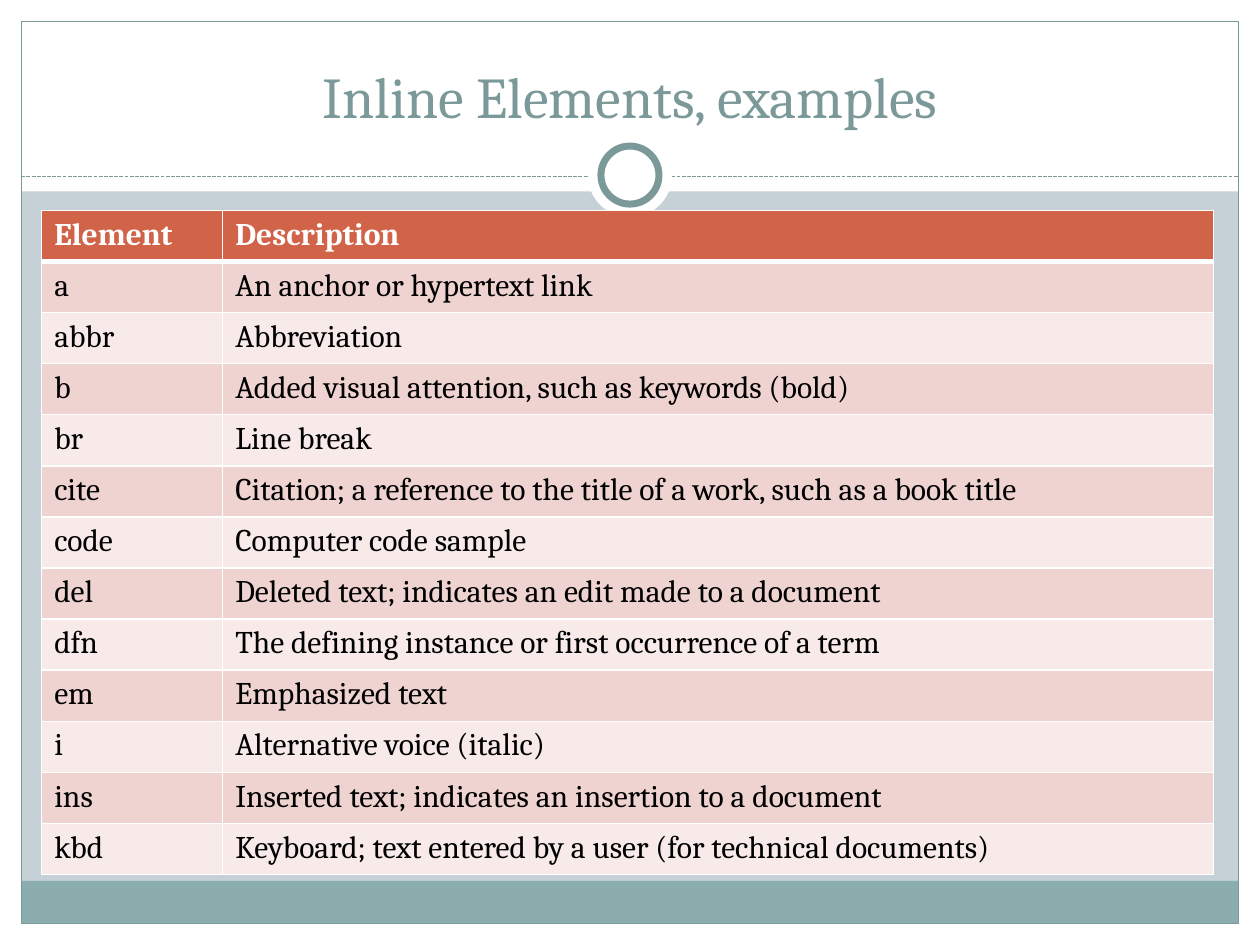
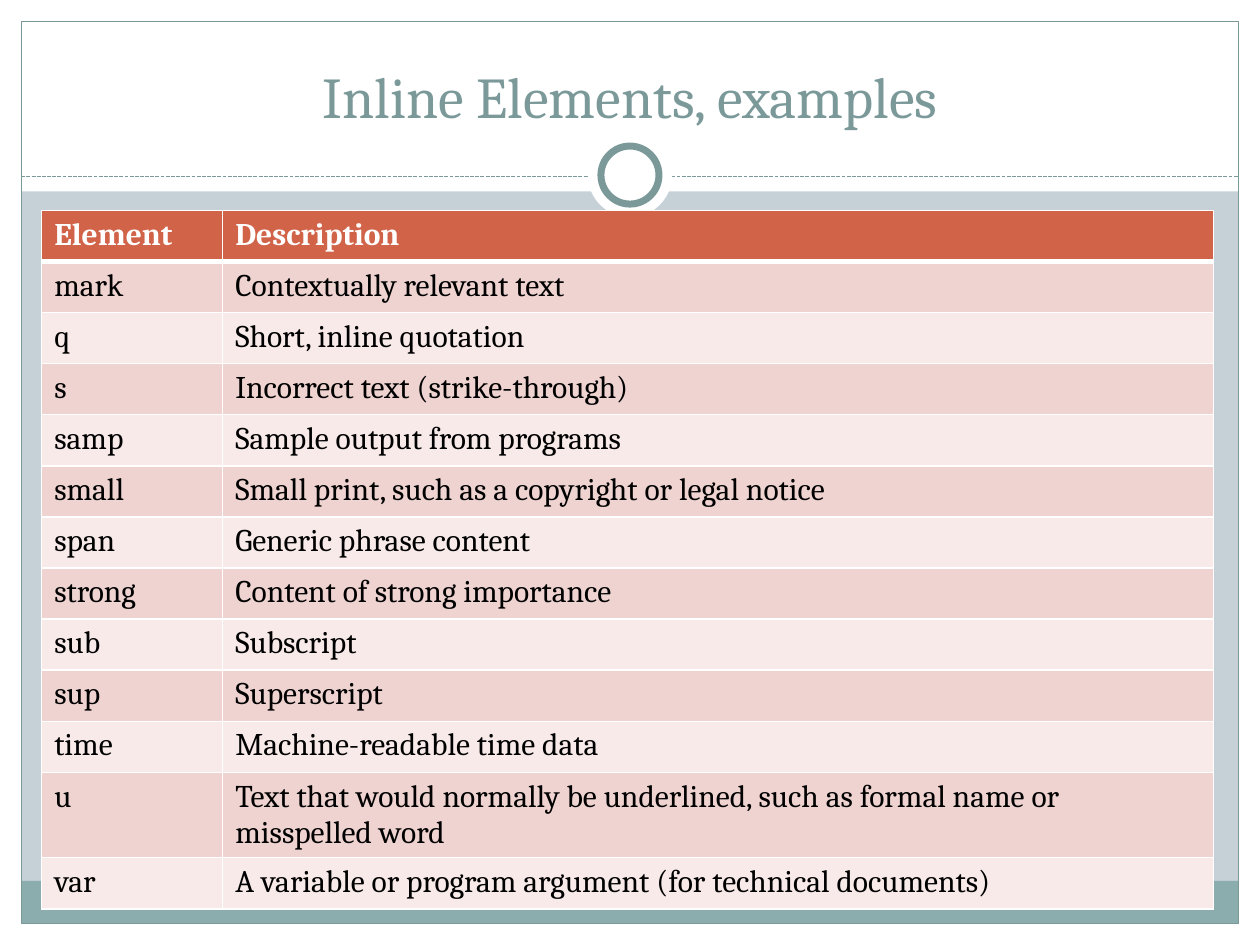
from lxml.etree import SubElement
from pptx import Presentation
from pptx.dml.color import RGBColor
from pptx.enum.dml import MSO_LINE
from pptx.enum.shapes import MSO_CONNECTOR, MSO_SHAPE
from pptx.enum.text import MSO_ANCHOR, MSO_AUTO_SIZE, PP_ALIGN
from pptx.oxml.ns import qn
from pptx.util import Cm, Pt

WHITE = RGBColor(0xFF, 0xFF, 0xFF)
BLACK = RGBColor(0, 0, 0)
MIST = RGBColor(0xC5, 0xD1, 0xD7)
TEAL = RGBColor(0x8C, 0xAD, 0xAE)
SLATE = RGBColor(0x7C, 0x99, 0x9A)
RUST = RGBColor(0xD1, 0x63, 0x49)
ROSE = RGBColor(0xEE, 0xD3, 0xD0)
BLUSH = RGBColor(0xF7, 0xEA, 0xE9)

TITLE = "Inline Elements, examples"
HEAD = ("Element", "Description")
TABLES = [
    [
        ("a", "An anchor or hypertext link"),
        ("abbr", "Abbreviation"),
        ("b", "Added visual attention, such as keywords (bold)"),
        ("br", "Line break"),
        ("cite", "Citation; a reference to the title of a work, such as a book title"),
        ("code", "Computer code sample"),
        ("del", "Deleted text; indicates an edit made to a document"),
        ("dfn", "The defining instance or first occurrence of a term"),
        ("em", "Emphasized text"),
        ("i", "Alternative voice (italic)"),
        ("ins", "Inserted text; indicates an insertion to a document"),
        ("kbd", "Keyboard; text entered by a user (for technical documents)"),
    ],
    [
        ("mark", "Contextually relevant text"),
        ("q", "Short, inline quotation"),
        ("s", "Incorrect text (strike-through)"),
        ("samp", "Sample output from programs"),
        ("small", "Small print, such as a copyright or legal notice"),
        ("span", "Generic phrase content"),
        ("strong", "Content of strong importance"),
        ("sub", "Subscript"),
        ("sup", "Superscript"),
        ("time", "Machine-readable time data"),
        ("u", "Text that would normally be underlined, such as formal name or misspelled word"),
        ("var", "A variable or program argument (for technical documents)"),
    ],
]

# Lengths in centimetres
WIDE, HIGH = 25.4, 19.05
EDGE = 0.43
BAND = 3.86
FOOT = 0.86
RULE = 3.56
HUB = 3.53
DISC, RING = 1.7, 1.17
COLS = (3.65, 19.97)
ROW = 1.03

INNER = WIDE - 2 * EDGE
BASE = HIGH - EDGE


def round_box(size):
    """Square box of the given size, centred on the hub of the title rule."""
    return (WIDE - size) / 2, HUB - size / 2, size, size


# kind, box, fill, line width
BANDS = [
    (MSO_SHAPE.RECTANGLE, (0, BASE, WIDE, EDGE), WHITE, 0),
    (MSO_SHAPE.RECTANGLE, (0, 0, WIDE, BAND), WHITE, 0),
    (MSO_SHAPE.RECTANGLE, (0, 0, EDGE, HIGH), WHITE, 0),
    (MSO_SHAPE.RECTANGLE, (WIDE - EDGE, 0, EDGE, HIGH), WHITE, 0),
    (MSO_SHAPE.RECTANGLE, (EDGE, BASE - FOOT, INNER, FOOT), TEAL, 0),
    (MSO_SHAPE.RECTANGLE, (EDGE, EDGE, INNER, HIGH - 2 * EDGE), None, 0.75),
]
DISCS = [
    (MSO_SHAPE.OVAL, round_box(DISC), WHITE, 0),
    (MSO_SHAPE.OVAL, round_box(RING), WHITE, 4),
]


def style(item, **values):
    for name, value in values.items():
        setattr(item, name, value)


def add_part(slide, kind, box, fill, width):
    part = slide.shapes.add_shape(kind, *map(Cm, box))
    part.shadow.inherit = False
    if fill is None:
        part.fill.background()
    else:
        part.fill.solid()
        part.fill.fore_color.rgb = fill
    if width:
        part.line.color.rgb = SLATE
        part.line.width = Pt(width)
    else:
        part.line.fill.background()
    return part


def add_rule(slide):
    ends = (EDGE, RULE, WIDE - EDGE, RULE)
    rule = slide.shapes.add_connector(MSO_CONNECTOR.STRAIGHT, *map(Cm, ends))
    rule.line.color.rgb = SLATE
    style(rule.line, width=Pt(0.75), dash_style=MSO_LINE.SQUARE_DOT)
    SubElement(rule.element.spPr, qn("a:effectLst"))
    return rule


def move_frame(slide, layout):
    """Draw the frame once, then hand it to the layout that all slides share."""
    parts = [add_part(slide, *band) for band in BANDS]
    parts.append(add_rule(slide))
    parts += [add_part(slide, *disc) for disc in DISCS]
    for key, part in enumerate(parts, 100):
        next(part.element.iter(qn("p:cNvPr"))).set("id", str(key))
        layout.shapes.element.append(part.element)


def set_title(slide):
    title = slide.shapes.title
    style(title, left=Cm(0.85), top=Cm(0.64), width=Cm(23.7), height=Cm(2.11))
    frame = title.text_frame
    frame.text = TITLE
    style(frame, auto_size=MSO_AUTO_SIZE.NONE, word_wrap=True,
          vertical_anchor=MSO_ANCHOR.BOTTOM)
    line = frame.paragraphs[0]
    line.alignment = PP_ALIGN.CENTER
    style(line.font, name="Cambria", size=Pt(33))
    line.font.color.rgb = SLATE


def set_edges(cell, top, bottom):
    props = cell._tc.get_or_add_tcPr()
    for side, width in (("L", 1), ("R", 1), ("T", top), ("B", bottom)):
        edge = SubElement(props, qn(f"a:ln{side}"), w=str(Pt(width)))
        fill = SubElement(edge, qn("a:solidFill"))
        SubElement(fill, qn("a:srgbClr"), val=str(WHITE))


def add_grid(slide, rows):
    lines = [HEAD, *rows]
    box = (0.84, 4.24, sum(COLS), ROW * len(lines))
    grid = slide.shapes.add_table(len(lines), len(COLS), *map(Cm, box)).table
    for col, width in zip(grid.columns, COLS):
        col.width = Cm(width)
    for i, words in enumerate(lines):
        grid.rows[i].height = Cm(ROW)
        first = i == 0
        shade = RUST if first else (BLUSH, ROSE)[i % 2]
        for j, text in enumerate(words):
            cell = grid.cell(i, j)
            set_edges(cell, 3 if i == 1 else 1, 3 if first else 1)
            cell.fill.solid()
            cell.fill.fore_color.rgb = shade
            cell.text = text
            font = cell.text_frame.paragraphs[0].font
            style(font, name="Cambria", size=Pt(18), bold=first)
            font.color.rgb = WHITE if first else BLACK


def main():
    deck = Presentation()
    style(deck, slide_width=Cm(WIDE), slide_height=Cm(HIGH))
    layout = deck.slide_layouts[5]
    layout.background.fill.solid()
    layout.background.fill.fore_color.rgb = MIST
    for rows in TABLES:
        slide = deck.slides.add_slide(layout)
        if len(deck.slides) == 1:
            move_frame(slide, layout)
        set_title(slide)
        add_grid(slide, rows)
    deck.save("out.pptx")


if __name__ == "__main__":
    main()
